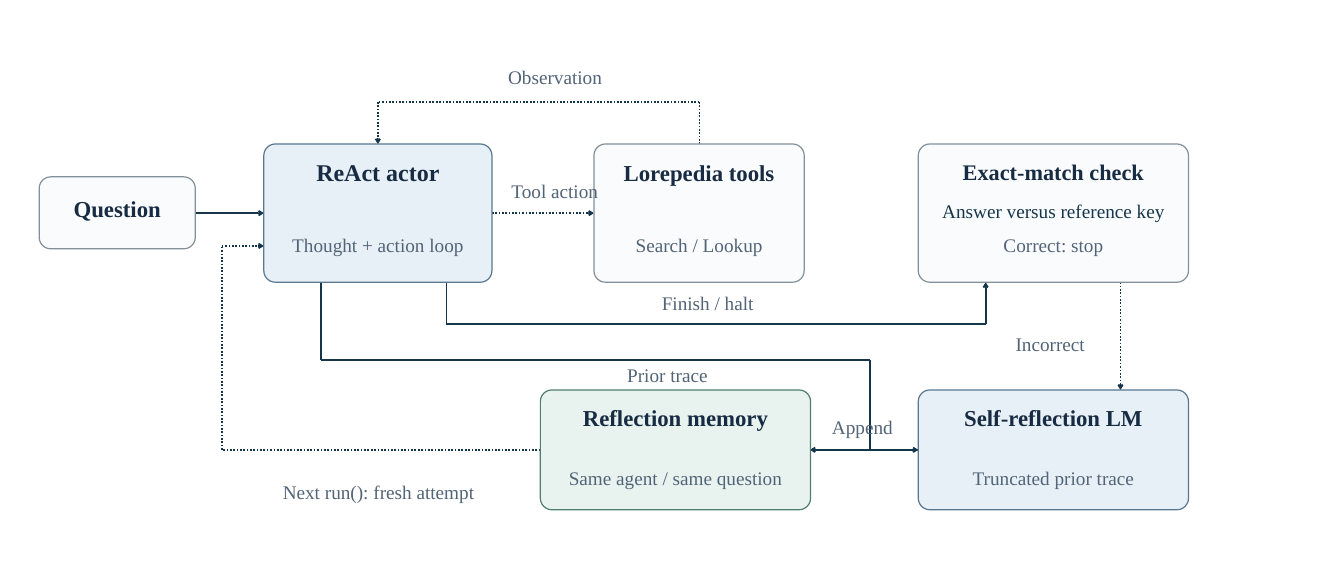
from dataclasses import dataclass
from itertools import pairwise

from lxml import etree
from pptx import Presentation
from pptx.dml import color
from pptx.enum import dml, shapes, text
from pptx.oxml import ns
from pptx.util import Inches, Pt


@dataclass(frozen=True)
class Theme:
    font: str = "Times New Roman"
    heading: str = "172B42"
    muted: str = "526477"
    ink: str = "15354A"
    neutral: tuple = ("FAFBFC", "839099")
    model: tuple = ("E8F0F7", "59778E")
    memory: tuple = ("E8F3EF", "507E71")
    actor_size: float = 30
    heading_size: float = 28.5
    check_size: float = 27.8
    body_size: float = 24
    route_width: float = 2.1
    border_width: float = 1.5
    radius: float = 0.2
    padding: float = 0.19


THEME = Theme()


def rgb(value):
    return color.RGBColor.from_string(value)


def add_text(slide, words, left, top, width, height=0.43, *,
             size=THEME.body_size, ink=THEME.muted, bold=False):
    label = slide.shapes.add_textbox(
        Inches(left), Inches(top), Inches(width), Inches(height))
    frame = label.text_frame
    frame.margin_left = frame.margin_right = 0
    frame.margin_top = frame.margin_bottom = 0
    frame.word_wrap = False
    frame.vertical_anchor = text.MSO_ANCHOR.MIDDLE
    paragraph = frame.paragraphs[0]
    paragraph.alignment = text.PP_ALIGN.CENTER
    run = paragraph.add_run()
    run.text = words
    run.font.name = THEME.font
    run.font.size = Pt(size)
    run.font.bold = bold
    run.font.color.rgb = rgb(ink)


def add_stage(slide, heading, left, top, width, height, colours, *,
              detail=None, size=THEME.heading_size,
              heading_drop=0.25, detail_rise=0.85):
    fill, border = colours
    card = slide.shapes.add_shape(
        shapes.MSO_SHAPE.ROUNDED_RECTANGLE,
        Inches(left), Inches(top), Inches(width), Inches(height))
    card.shadow.inherit = False
    card.adjustments[0] = THEME.radius / min(width, height)
    card.fill.solid()
    card.fill.fore_color.rgb = rgb(fill)
    card.line.color.rgb = rgb(border)
    card.line.width = Pt(THEME.border_width)

    inner_left, inner_width = left + THEME.padding, width - 2 * THEME.padding
    add_text(slide, heading, inner_left, top + heading_drop, inner_width, 0.47,
             size=size, ink=THEME.heading, bold=True)
    if detail:
        add_text(slide, detail, inner_left, top + height - detail_rise,
                 inner_width, 0.39)


def add_route(slide, *points, dotted=False):
    route = slide.shapes.add_group_shape()
    for start, end in pairwise(points):
        segment = route.shapes.add_connector(
            shapes.MSO_CONNECTOR.STRAIGHT, *map(Inches, start + end))
        segment.line.color.rgb = rgb(THEME.ink)
        segment.line.width = Pt(THEME.route_width)
        if dotted:
            segment.line.dash_style = dml.MSO_LINE.ROUND_DOT
        properties = segment._element.spPr
        etree.SubElement(properties, ns.qn("a:effectLst"))
    etree.SubElement(properties.find(ns.qn("a:ln")), ns.qn("a:tailEnd"),
                     type="arrow")


def draw_routes(slide):
    add_route(slide, (3.39, 3.7), (4.58, 3.7))
    add_route(slide, (8.54, 3.7), (10.31, 3.7), dotted=True)
    add_route(slide, (12.14, 2.5), (12.14, 1.77), (6.56, 1.77), (6.56, 2.5),
              dotted=True)
    add_route(slide, (7.75, 4.9), (7.75, 5.62), (17.11, 5.62), (17.11, 4.9))
    add_route(slide, (19.45, 4.9), (19.45, 6.77), dotted=True)
    add_route(slide, (5.57, 4.9), (5.57, 6.25), (15.1, 6.25), (15.1, 7.81),
              (15.94, 7.81))
    add_route(slide, (15.94, 7.81), (14.06, 7.81))
    add_route(slide, (9.38, 7.81), (3.85, 7.81), (3.85, 4.27), (4.58, 4.27),
              dotted=True)


def draw_stages(slide):
    upper, upper_height = 2.5, 2.4
    lower, lower_height = 6.77, 2.08
    right, wide = 15.94, 4.69
    add_stage(slide, "Question", 0.68, 3.07, 2.71, 1.25, THEME.neutral,
              heading_drop=0.32)
    add_stage(slide, "ReAct actor", 4.58, upper, 3.96, upper_height,
              THEME.model, detail="Thought + action loop",
              size=THEME.actor_size)
    add_stage(slide, "Lorepedia tools", 10.31, upper, 3.65, upper_height,
              THEME.neutral, detail="Search / Lookup")
    add_stage(slide, "Exact-match check", right, upper, wide, upper_height,
              THEME.neutral, detail="Correct: stop", size=THEME.check_size)
    add_stage(slide, "Self-reflection LM", right, lower, wide, lower_height,
              THEME.model, detail="Truncated prior trace", detail_rise=0.75)
    add_stage(slide, "Reflection memory", 9.38, lower, wide, lower_height,
              THEME.memory, detail="Same agent / same question",
              detail_rise=0.75)


def draw_labels(slide):
    for words, left, top, width in (
        ("Tool action", 8.75, 3.09, 1.76),
        ("Observation", 8.65, 1.12, 1.97),
        ("Finish / halt", 11.35, 5.04, 1.87),
        ("Incorrect", 17.5, 5.76, 1.46),
        ("Prior trace", 10.73, 6.29, 1.71),
        ("Append", 14.31, 7.2, 1.32),
        ("Next run(): fresh attempt", 4.69, 8.33, 3.76),
    ):
        add_text(slide, words, left, top, width)
    add_text(slide, "Answer versus reference key", 16.15, 3.43, 4.27, 0.45,
             ink=THEME.ink)


def main():
    deck = Presentation()
    deck.slide_width, deck.slide_height = Inches(23.33), Inches(10)
    slide = deck.slides.add_slide(deck.slide_layouts[6])
    draw_routes(slide)
    draw_stages(slide)
    draw_labels(slide)
    deck.save("out.pptx")


if __name__ == "__main__":
    main()
